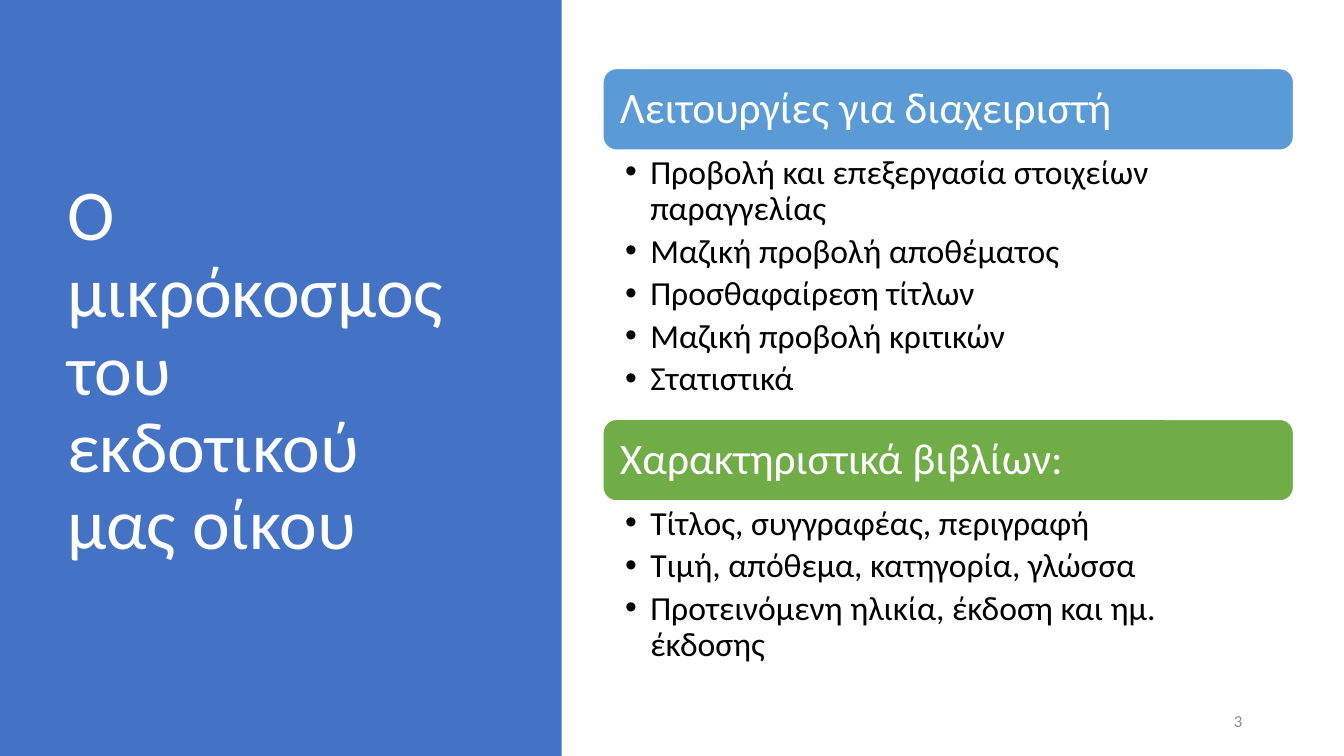
from dataclasses import dataclass
from typing import Any

import lxml.etree
import pptx
import pptx.dml.color
import pptx.enum.shapes
import pptx.enum.text
import pptx.oxml.ns
import pptx.util

Inches = pptx.util.Inches
Pt = pptx.util.Pt
Color = pptx.dml.color.RGBColor
Shape = pptx.enum.shapes.MSO_SHAPE
Anchor = pptx.enum.text.MSO_ANCHOR
Align = pptx.enum.text.PP_ALIGN


@dataclass(frozen=True)
class Theme:
    font: str = "Calibri"
    panel: Color = Color(0x44, 0x72, 0xC4)
    admin: Color = Color(0x5B, 0x9B, 0xD5)
    books: Color = Color(0x70, 0xAD, 0x47)
    light: Color = Color(0xFF, 0xFF, 0xFF)
    dark: Color = Color(0, 0, 0)
    muted: Color = Color(0x8C, 0x8C, 0x8C)
    title_size: int = 51
    heading_size: int = 31
    bullet_size: int = 24
    number_size: int = 12


@dataclass(frozen=True)
class Area:
    left: float
    top: float
    width: float
    height: float

    def lengths(self) -> list[int]:
        return [Inches(v) for v in (self.left, self.top, self.width, self.height)]


@dataclass(frozen=True)
class Style:
    size: int
    color: Color
    anchor: Any = Anchor.MIDDLE
    align: Any = Align.LEFT
    line_spacing: float = 0.9
    space_after: float = 0
    insets: tuple[float, float, float, float] = (0.1, 0.05, 0.1, 0.05)
    bullet: bool = False


@dataclass(frozen=True)
class Section:
    heading: str
    color: Color
    top: float
    list_height: float
    items: tuple[str, ...]


THEME = Theme()
TITLE = Style(THEME.title_size, THEME.light)
HEADING = Style(THEME.heading_size, THEME.light, insets=(0.13,) * 4)
BULLETS = Style(THEME.bullet_size, THEME.dark, anchor=Anchor.TOP, space_after=4.5,
                insets=(0.22, 0.04, 0.24, 0.04), bullet=True)
NUMBER = Style(THEME.number_size, THEME.muted, align=Align.RIGHT, line_spacing=1.0)

SECTION_LEFT, SECTION_WIDTH, HEADING_HEIGHT = 5.98, 6.85, 0.81
BULLET_INDENT = 0.25

SECTIONS = (
    Section("Λειτουργίες για διαχειριστή", THEME.admin, 0.68, 2.67, (
        "Προβολή και επεξεργασία στοιχείων παραγγελίας",
        "Μαζική προβολή αποθέματος",
        "Προσθαφαίρεση τίτλων",
        "Μαζική προβολή κριτικών",
        "Στατιστικά",
    )),
    Section("Χαρακτηριστικά βιβλίων:", THEME.books, 4.16, 1.72, (
        "Τίτλος, συγγραφέας, περιγραφή",
        "Τιμή, απόθεμα, κατηγορία, γλώσσα",
        "Προτεινόμενη ηλικία, έκδοση και ημ. έκδοσης",
    )),
)


def apply(target: Any, values: dict[str, Any]) -> None:
    for name, value in values.items():
        setattr(target, name, value)


def add_bullet(para: Any) -> None:
    properties = para._p.get_or_add_pPr()
    indent = Inches(BULLET_INDENT)
    properties.set("marL", str(indent))
    properties.set("indent", str(-indent))
    for tag, name, value in (("a:buFont", "typeface", "Arial"), ("a:buChar", "char", "•")):
        mark = lxml.etree.SubElement(properties, pptx.oxml.ns.qn(tag))
        mark.set(name, value)


def write(box: Any, lines: tuple[str, ...], style: Style) -> None:
    frame = box.text_frame
    left, top, right, bottom = (Inches(inset) for inset in style.insets)
    apply(frame, {
        "word_wrap": True, "vertical_anchor": style.anchor,
        "margin_left": left, "margin_top": top,
        "margin_right": right, "margin_bottom": bottom,
    })
    for index, line in enumerate(lines):
        para = frame.add_paragraph() if index else frame.paragraphs[0]
        apply(para, {
            "alignment": style.align, "line_spacing": style.line_spacing,
            "space_after": Pt(style.space_after),
        })
        if style.bullet:
            add_bullet(para)
        span = para.add_run()
        span.text = line
        apply(span.font, {"name": THEME.font, "size": Pt(style.size)})
        span.font.color.rgb = style.color


def add_text(page: Any, area: Area, lines: tuple[str, ...], style: Style) -> None:
    write(page.shapes.add_textbox(*area.lengths()), lines, style)


def add_block(page: Any, kind: Any, area: Area, color: Color) -> Any:
    block = page.shapes.add_shape(kind, *area.lengths())
    block.shadow.inherit = False
    block.fill.solid()
    block.fill.fore_color.rgb = color
    block.line.fill.background()
    return block


def add_section(page: Any, section: Section) -> None:
    area = Area(SECTION_LEFT, section.top, SECTION_WIDTH, HEADING_HEIGHT)
    banner = add_block(page, Shape.ROUNDED_RECTANGLE, area, section.color)
    banner.line.color.rgb = THEME.light
    banner.line.width = Pt(1)
    write(banner, (section.heading,), HEADING)
    list_top = section.top + HEADING_HEIGHT + 0.01
    add_text(page, Area(SECTION_LEFT, list_top, SECTION_WIDTH, section.list_height),
             section.items, BULLETS)


def main() -> None:
    deck = pptx.Presentation()
    apply(deck, {"slide_width": Inches(13.33), "slide_height": Inches(7.5)})
    page = deck.slides.add_slide(deck.slide_layouts[6])
    add_block(page, Shape.RECTANGLE, Area(0, 0, 5.57, 7.5), THEME.panel)
    add_text(page, Area(0.57, 0.68, 4.16, 6.02),
             ("Ο μικρόκοσμος του εκδοτικού μας οίκου",), TITLE)
    add_text(page, Area(9.42, 6.95, 3, 0.4), ("3",), NUMBER)
    for section in SECTIONS:
        add_section(page, section)
    deck.save("out.pptx")


if __name__ == "__main__":
    main()
